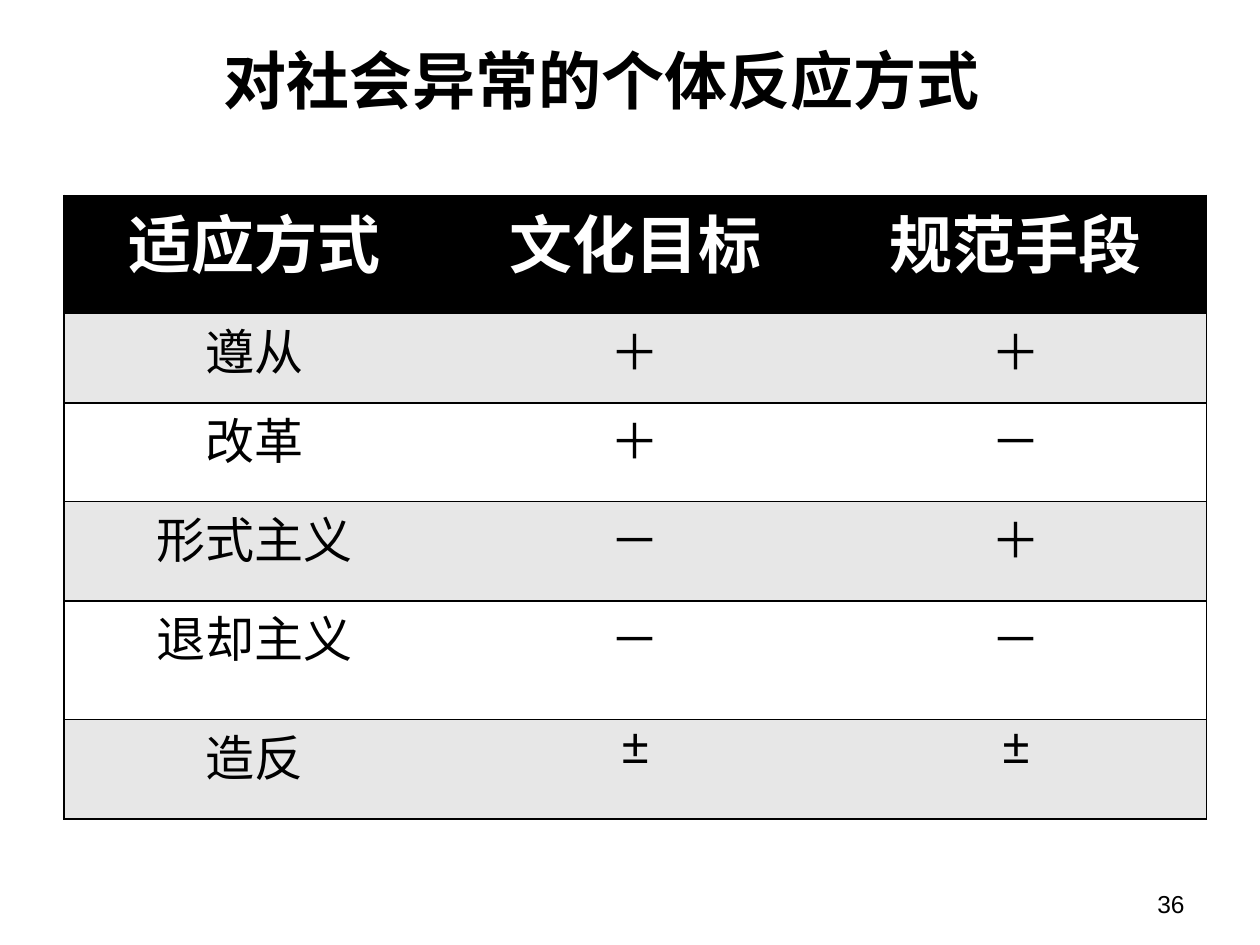
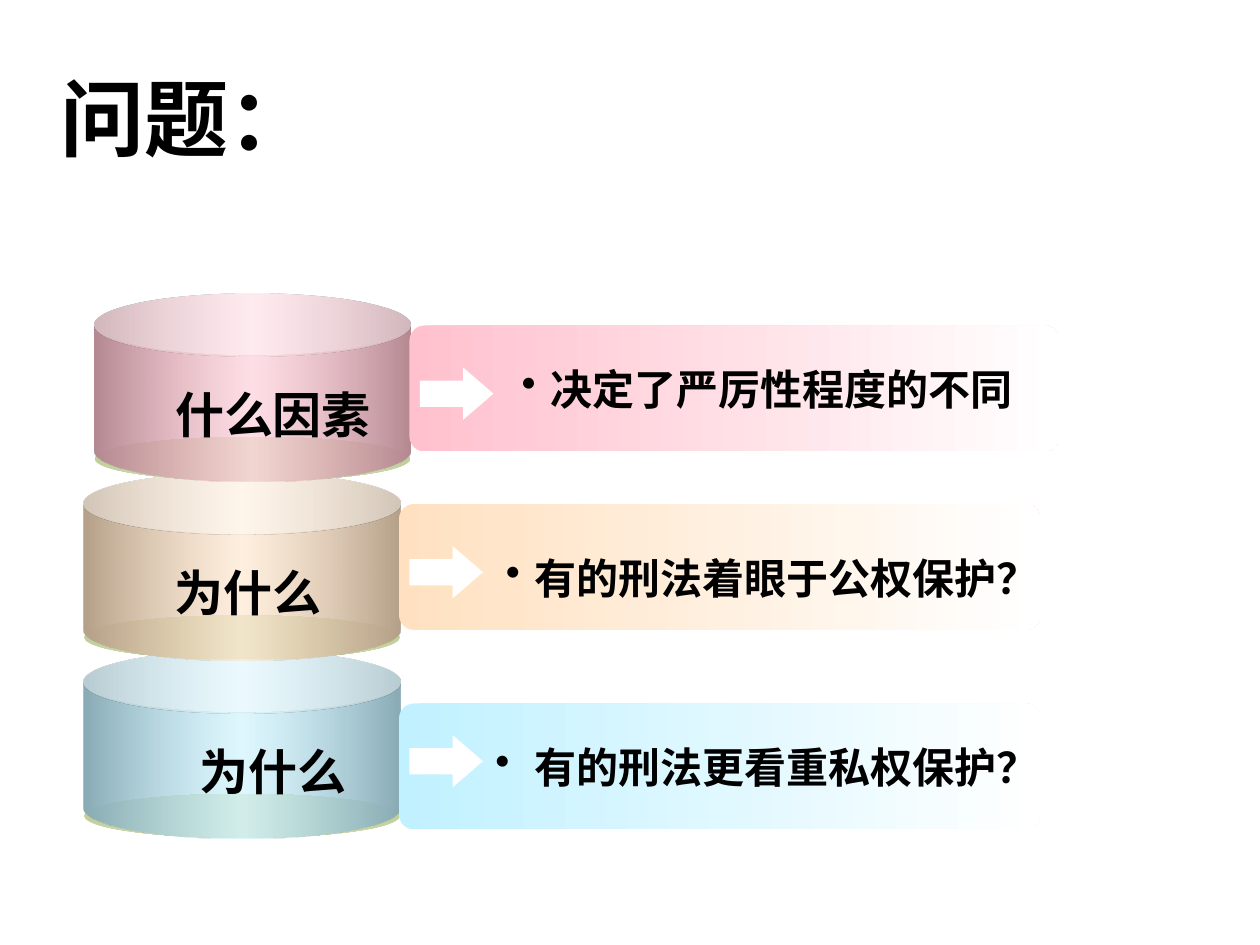
import pptx
import pptx.dml.color
import pptx.enum.shapes
import pptx.enum.text
import pptx.oxml.ns
import pptx.oxml.xmlchemy
import pptx.util
from lxml import etree

COLORS = {
    "black": "000000",
    "white": "FFFFFF",
    "stripe": "E7E7E7",
    "pink": "FFC1CE",
    "peach": "FFE1C1",
    "sky": "C1F1FF",
    "rim": "C1CF9D",
    "rim light": "E5EBD5",
}
CJK_FONT = "Noto Sans CJK SC"
ALIGN = pptx.enum.text.PP_ALIGN
ANCHOR = pptx.enum.text.MSO_ANCHOR
SHAPE = pptx.enum.shapes.MSO_SHAPE
qn = pptx.oxml.ns.qn

presentation = pptx.Presentation()
presentation.slide_width = pptx.util.Inches(10)
presentation.slide_height = pptx.util.Inches(7.5)
COLUMN = presentation.slide_width / 120
ROW = presentation.slide_height / 90


def box(left, top, width, height):
    """Turn columns and rows of the 120 by 90 grid into slide lengths."""
    return [round(left * COLUMN), round(top * ROW), round(width * COLUMN), round(height * ROW)]


def write(frame, text, size, color="black", bold=True, font=CJK_FONT, align=ALIGN.CENTER):
    frame.word_wrap = True
    paragraph = frame.paragraphs[0]
    paragraph.text = text
    paragraph.alignment = align
    paragraph.font.size = pptx.util.Pt(size)
    paragraph.font.bold = bold
    paragraph.font.name = font
    paragraph.font.color.rgb = pptx.dml.color.RGBColor.from_string(COLORS[color])
    latin = paragraph.font._element.find(qn("a:latin"))
    east_asian = etree.Element(qn("a:ea"), typeface=CJK_FONT)
    latin.addnext(east_asian)
    return paragraph


# Both slides: a title without insets, centred vertically
titles = [
    ("对社会异常的个体反应方式", 36, ALIGN.CENTER, (10.9, 4.3, 94.1, 6.5), (0, 0.11)),
    ("问题：", 48, ALIGN.LEFT, (1, 2.8, 115.8, 16.7), (0.4, 0)),
]
slides = []
for text, size, align, place, (left_inset, right_inset) in titles:
    slide = presentation.slides.add_slide(presentation.slide_layouts[5])
    title = slide.shapes.title
    title.left, title.top, title.width, title.height = box(*place)
    frame = title.text_frame
    frame.auto_size = pptx.enum.text.MSO_AUTO_SIZE.NONE
    frame.vertical_anchor = ANCHOR.MIDDLE
    frame.margin_top = frame.margin_bottom = 0
    frame.margin_left = pptx.util.Inches(left_inset)
    frame.margin_right = pptx.util.Inches(right_inset)
    write(frame, text, size, align=align)
    slides.append(slide)
table_slide, question_slide = slides

# Slide 1: ways of adapting
adaptations = [
    ("适应方式", "文化目标", "规范手段"),
    ("遵从", "＋", "＋"),
    ("改革", "＋", "－"),
    ("形式主义", "－", "＋"),
    ("退却主义", "－", "－"),
    ("造反", "±", "±"),
]
row_heights = [0.94, 0.71, 0.78, 0.79, 0.94, 0.79]
table = table_slide.shapes.add_table(6, 3, *box(6.1, 18.6, 108.8, 59.5)).table
for row_index, (texts, height) in enumerate(zip(adaptations, row_heights)):
    table.rows[row_index].height = pptx.util.Inches(height)
    is_header = row_index == 0
    fill = "black" if is_header else "stripe" if row_index % 2 else "white"
    for column_index, text in enumerate(texts):
        cell = table.cell(row_index, column_index)
        cell.margin_left = cell.margin_right = pptx.util.Inches(0.02)
        cell.margin_top = cell.margin_bottom = 0
        if is_header:
            write(cell.text_frame, text, 36, "white")
        else:
            write(cell.text_frame, text, 28, bold=False, font="Arial")
        edges = {"lnL": column_index == 0, "lnR": column_index == 2, "lnT": True, "lnB": True}
        for edge, is_drawn in edges.items():
            line = etree.SubElement(cell._tc.get_or_add_tcPr(), qn(f"a:{edge}"), w="12700")
            if is_drawn:
                line_fill = etree.SubElement(line, qn("a:solidFill"))
                etree.SubElement(line_fill, qn("a:srgbClr"), val=COLORS["black"])
            else:
                etree.SubElement(line, qn("a:noFill"))
        cell.fill.solid()
        cell.fill.fore_color.rgb = pptx.dml.color.RGBColor.from_string(COLORS[fill])

page_number = table_slide.shapes.add_textbox(*box(86, 84.1, 28, 4.5))
write(page_number.text_frame, "36", 14, bold=False, font="Arial", align=ALIGN.RIGHT)

# Slide 2: a stack of cans, each with a fading band; the lowest is drawn first
# colour, can left, band top and width, arrow top, label and its place, answer, its place and indent
questions = [
    ("pink", 9, 31, 61.9, 35, "什么因素", (12, 36), "决定了严厉性程度的不同", (48.5, 34), 0.23),
    ("peach", 8, 48, 61.1, 52, "为什么", (9.6, 53), "有的刑法着眼于公权保护？", (47, 52), 0.23),
    ("sky", 8, 67, 61.1, 70, "为什么", (12, 70), "有的刑法更看重私权保护？", (46, 70), 0.31),
]
shapes = question_slide.shapes
rim_stops = [(0, "rim", None), (50, "rim light", None), (100, "rim", None)]
gradients = []
for index, (color, can_left, *_) in reversed(list(enumerate(questions))):
    can_top = 28 + 17 * index
    group = shapes.add_group_shape()
    rim = group.shapes.add_shape(SHAPE.OVAL, *box(can_left, can_top + 13.6, 30.1, 4.2))
    can = group.shapes.add_shape(SHAPE.CAN, *box(can_left, can_top, 30.1, 17.9))
    can.adjustments[0] = 0.33
    shaded = ("shade", 46)
    gradients.append((rim, rim_stops))
    gradients.append((can, [(0, color, shaded), (50, color, ("alpha", 50)), (100, color, shaded)]))

for color, can_left, band_top, band_width, arrow_top, label, label_at, answer, answer_at, indent in questions:
    band_left = can_left + 30
    band = shapes.add_shape(SHAPE.ROUNDED_RECTANGLE, *box(band_left, band_top, band_width, 12))
    band.adjustments[0] = 0.12
    gradients.append((band, [(0, color, None), (100, "white", None)]))

    label_box = shapes.add_textbox(*box(*label_at, 28, 6.9))
    write(label_box.text_frame, label, 28)

    answer_box = shapes.add_textbox(*box(*answer_at, 56, 6.1))
    paragraph = write(answer_box.text_frame, answer, 24, align=ALIGN.LEFT)
    properties = paragraph._p.get_or_add_pPr()
    properties.set("marL", str(pptx.util.Inches(indent)))
    properties.set("indent", str(-pptx.util.Inches(indent)))
    properties.insert(0, etree.Element(qn("a:buChar"), char="•"))

    arrow = shapes.add_shape(SHAPE.RIGHT_ARROW, *box(band_left + 1, arrow_top, 7, 5))
    arrow.adjustments[1] = 0.58
    arrow.shadow.inherit = False
    arrow.line.fill.background()
    arrow.fill.solid()
    arrow.fill.fore_color.rgb = pptx.dml.color.RGBColor.from_string(COLORS["white"])

for shape, stops in gradients:
    shape.shadow.inherit = False
    shape.line.fill.background()
    shape.fill.gradient()
    shape.fill.gradient_angle = 0
    stop_list = shape._element.spPr.find(".//" + qn("a:gsLst"))
    for old_stop in list(stop_list):
        stop_list.remove(old_stop)
    for position, color, change in stops:
        stop = etree.SubElement(stop_list, qn("a:gs"), pos=str(position * 1000))
        stop_color = etree.SubElement(stop, qn("a:srgbClr"), val=COLORS[color])
        if change:
            kind, percent = change
            etree.SubElement(stop_color, qn(f"a:{kind}"), val=str(percent * 1000))

presentation.save("out.pptx")
